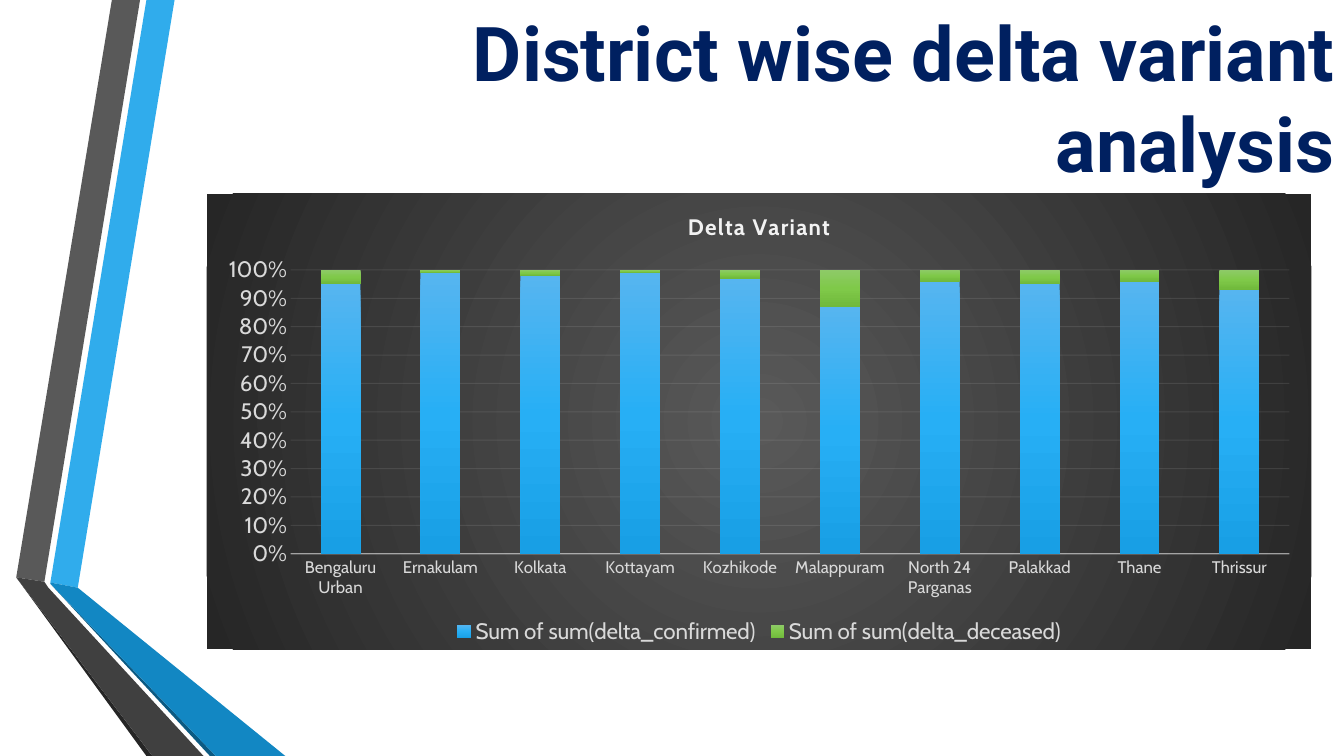
from lxml.etree import SubElement as Sub
from pptx import Presentation
from pptx.chart.data import CategoryChartData as Data
from pptx.dml.color import RGBColor as RGB
from pptx.enum.chart import XL_CHART_TYPE as Kind, XL_LEGEND_POSITION as Place, XL_TICK_MARK as Tick
from pptx.enum.text import MSO_ANCHOR as Anchor, PP_ALIGN as Align
from pptx.oxml.ns import qn
from pptx.util import Cm, Pt

NAVY = RGB(0x00, 0x20, 0x60)
SKY = RGB(0x30, 0xAC, 0xEC)
BLUE = RGB(0x12, 0x87, 0xC3)
DEEP = RGB(0x0C, 0x5A, 0x82)
GREY = RGB(0x59, 0x59, 0x59)
DARK = RGB(0x40, 0x40, 0x40)
COAL = RGB(0x26, 0x26, 0x26)
PALE = RGB(0xF2, 0xF2, 0xF2)
SOFT = RGB(0xD9, 0xD9, 0xD9)
BLUES = (RGB(0x56, 0xB5, 0xF0), RGB(0x27, 0xAF, 0xF5), RGB(0x18, 0x9F, 0xE5))
GREENS = (RGB(0x8E, 0xCA, 0x68), RGB(0x7F, 0xC9, 0x49), RGB(0x70, 0xB9, 0x3B))

RIBBONS = (
    (SKY, ((0.86, 14.68), (1.55, 14.81), (3.99, 0), (3.28, 0))),
    (GREY, ((3.12, 0), (2.41, 0), (0, 14.55), (0.71, 14.66))),
    (COAL, ((0, 14.55), (3.28, 19.05), (3.43, 19.05))),
    (DEEP, ((0.86, 14.71), (4.88, 19.05), (5.03, 19.05))),
    (BLUE, ((0.86, 14.71), (5.03, 19.05), (6.78, 19.05), (1.55, 14.81), (0.86, 14.68))),
    (DARK, ((4.72, 19.05), (0.81, 14.81), (0.71, 14.66), (0, 14.55), (3.43, 19.05))),
)
CASES = (
    ("Bengaluru Urban", 95, 5), ("Ernakulam", 99, 1), ("Kolkata", 98, 2),
    ("Kottayam", 99, 1), ("Kozhikode", 97, 3), ("Malappuram", 87, 13),
    ("North 24 Parganas", 96, 4), ("Palakkad", 95, 5), ("Thane", 96, 4),
    ("Thrissur", 93, 7),
)


def style(font, size, color, face, bold=False):
    """Set the look of a font."""
    font.size, font.name, font.bold = Pt(size), face, bold
    font.color.rgb = color


def write(frame, text, align=Align.CENTER, **look):
    """Put one styled paragraph in a text frame and return its run."""
    para = frame.paragraphs[0]
    para.alignment = align
    run = para.add_run()
    run.text = text
    style(run.font, **look)
    return run


def blend(props, colors, round=False):
    """Add a gradient of evenly spaced colours to shape properties."""
    grad = Sub(props, qn("a:gradFill"), rotWithShape="1")
    stops = Sub(grad, qn("a:gsLst"))
    for i, color in enumerate(colors):
        stop = Sub(stops, qn("a:gs"), pos=str(100000 * i // (len(colors) - 1)))
        Sub(stop, qn("a:srgbClr"), val=str(color))
    if round:
        way = Sub(grad, qn("a:path"), path="circle")
        Sub(way, qn("a:fillToRect"), l="50000", t="50000", r="50000", b="50000")
    else:
        Sub(grad, qn("a:lin"), ang="5400000", scaled="0")


def rule(line, width, alpha):
    """Draw a pale line with the given opacity in percent."""
    line.width = Pt(width)
    line.color.rgb = PALE
    tint = line._get_or_add_ln().find(".//" + qn("a:srgbClr"))
    Sub(tint, qn("a:alpha"), val=str(alpha * 1000))


def ribbon(slide, left, top):
    """Draw the folded bands from the given corner."""
    for color, dots in RIBBONS:
        spots = [(Cm(left + x), Cm(top + y)) for x, y in dots]
        path = slide.shapes.build_freeform(*spots[0])
        path.add_line_segments(spots[1:], close=True)
        band = path.convert_to_shape()
        band.shadow.inherit = False
        band.fill.solid()
        band.fill.fore_color.rgb = color
        band.line.fill.background()


def heading(slide, *box):
    """Write the slide title in its box."""
    frame = slide.shapes.add_textbox(*map(Cm, box)).text_frame
    frame.word_wrap = True
    frame.vertical_anchor = Anchor.MIDDLE
    write(frame, "District wise delta variant analysis", Align.RIGHT,
          size=54, color=NAVY, face="Roboto", bold=True)


def graph(slide, *box):
    """Place the stacked chart of cases in its box."""
    names, sick, dead = zip(*CASES)
    data = Data()
    data.categories = names
    data.add_series("Sum of sum(delta_confirmed)", sick)
    data.add_series("Sum of sum(delta_deceased)", dead)
    chart = slide.shapes.add_chart(Kind.COLUMN_STACKED_100, *map(Cm, box), data).chart
    style(chart.font, 10, SOFT, "Cabin")
    props = Sub(chart._chartSpace, qn("c:spPr"))
    blend(props, (GREY, COAL), round=True)
    Sub(Sub(props, qn("a:ln")), qn("a:noFill"))
    chart._chartSpace.find(qn("c:chart")).addnext(props)

    chart.has_title = True
    run = write(chart.chart_title.text_frame, "Delta Variant",
                size=16, color=PALE, face="Cabin", bold=True)
    run.font._element.set("spc", "100")
    chart.chart_title.include_in_layout = False
    chart.has_legend = True
    chart.legend.position = Place.BOTTOM
    chart.legend.include_in_layout = False
    style(chart.legend.font, 16, SOFT, "Cabin")

    plot = chart.plots[0]
    plot.gap_width, plot.overlap, plot.vary_by_categories = 150, 100, False
    for bars, colors in zip(plot.series, (BLUES, GREENS)):
        blend(bars._element.get_or_add_spPr(), colors)

    base, side = chart.category_axis, chart.value_axis
    for axis, size in ((base, 12), (side, 16)):
        axis.major_tick_mark = axis.minor_tick_mark = Tick.NONE
        style(axis.tick_labels.font, size, SOFT, "Cabin")
    rule(base.format.line, 1, 54)
    rule(side.major_gridlines.format.line, 0.75, 10)
    side.format.line.fill.background()
    side.maximum_scale, side.minimum_scale, side.major_unit = 1, 0, 0.1
    side.tick_labels.number_format = "0%"
    side.tick_labels.number_format_is_linked = False


def main():
    """Build the slide and save it."""
    deck = Presentation()
    deck.slide_width, deck.slide_height = Cm(33.87), Cm(19.05)
    slide = deck.slides.add_slide(deck.slide_layouts[6])
    ribbon(slide, 0.41, 0)
    heading(slide, 6.05, 0, 27.84, 4.88)
    graph(slide, 5.21, 4.88, 27.84, 11.48)
    deck.save("out.pptx")


if __name__ == "__main__":
    main()
